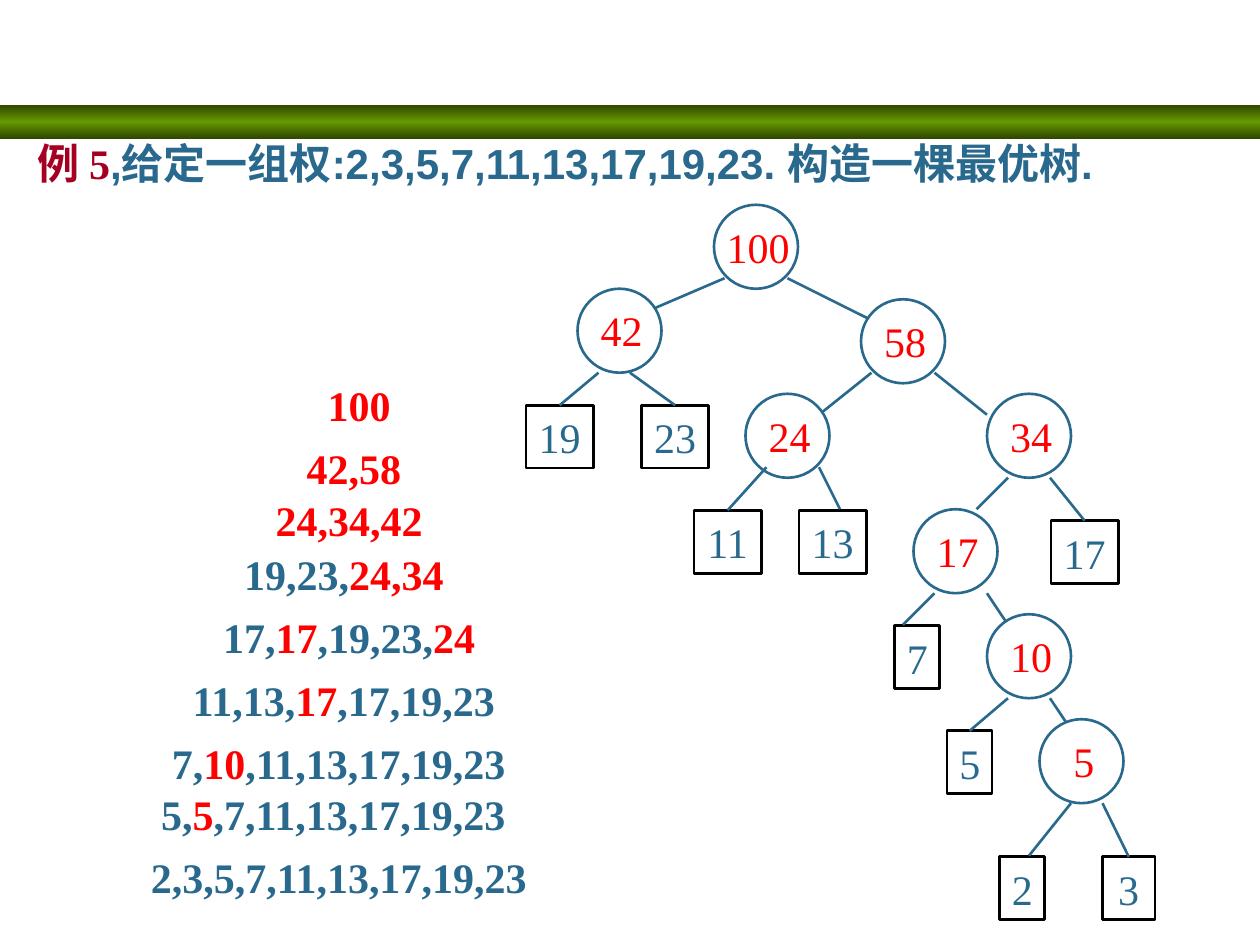
"""Build the slide that derives an optimal tree from a set of weights."""
import copy

import lxml.etree
import pptx
import pptx.dml.color
import pptx.enum.shapes
import pptx.enum.text
import pptx.oxml.ns
import pptx.util

COLORS = {"blue": "29698D", "red": "FF0000", "title": "A50021", "black": "000000",
          "white": "FFFFFF", "green": "669900", "dark": "2F4700"}
SERIF = "Times New Roman"
SHAPE = pptx.enum.shapes.MSO_SHAPE
ALIGN = pptx.enum.text.PP_ALIGN
rgb = {k: pptx.dml.color.RGBColor.from_string(v) for k, v in COLORS.items()}

prs = pptx.Presentation()
prs.slide_width = pptx.util.Inches(10)
prs.slide_height = pptx.util.Inches(7.5)
s = prs.slides.add_slide(prs.slide_layouts[6])
unit = prs.slide_width / 120


def grid(*cells):
    return [round(c * unit) for c in cells]


def write(sp, runs, bold=False, align=ALIGN.CENTER, wrap=False):
    tf = sp.text_frame
    tf.word_wrap = wrap
    tf.auto_size = pptx.enum.text.MSO_AUTO_SIZE.SHAPE_TO_FIT_TEXT
    tf.vertical_anchor = pptx.enum.text.MSO_ANCHOR.MIDDLE
    p = tf.paragraphs[0]
    p.alignment = align
    for text, color, font in runs:
        r = p.add_run()
        r.text = text
        r.font.size = pptx.util.Pt(24)
        r.font.name = font
        r.font.bold = bold
        r.font.color.rgb = rgb[color]


band = s.shapes.add_shape(SHAPE.RECTANGLE, *grid(0, 10, 120, 3.2))
band.shadow.inherit = False
band.line.fill.background()
band.fill.gradient()
band.fill.gradient_angle = 90
stops = band._element.spPr.find(".//" + pptx.oxml.ns.qn("a:gsLst"))
stops.insert(1, copy.deepcopy(stops[0]))
for stop, position, color in zip(band.fill.gradient_stops, (0, 0.5, 1), ("dark", "green", "dark")):
    stop.position = position
    stop.color.rgb = rgb[color]

leaves = {}
for text, x, y, w in [
    ("2", 95.2, 81.6, 4.3), ("3", 105, 81.6, 5),
    ("5", 90.2, 69.6, 4.3), ("7", 85.2, 59.6, 4.3),
    ("11", 66.1, 48.6, 6.4), ("13", 76.1, 48.6, 6.4),
    ("17", 100.1, 49.6, 6.4), ("19", 50.1, 38.6, 6.4),
    ("23", 61.1, 38.6, 6.4),
]:
    sp = s.shapes.add_shape(SHAPE.RECTANGLE, *grid(x, y, w, 6))
    sp.shadow.inherit = False
    sp.fill.background()
    sp.line.color.rgb = rgb["black"]
    sp.line.width = pptx.util.Pt(1.5)
    write(sp, [(text, "blue", SERIF)])
    leaves[text] = sp

nodes = [
    ("100", 68, 19.5, [(69, 26.5, 62, 29.5, None), (75, 26.5, 83, 30.5, None)]),
    ("42", 55, 27.5, [(57, 35.5, 53, 38.5, "19"), (60, 35.5, 64, 38.5, "23")]),
    ("58", 82, 28.5, [(83, 35.5, 78, 39.5, None), (89, 35.5, 94, 39.5, None)]),
    ("24", 71, 37.5, [(73, 44.5, 69, 48.5, "11"), (78, 44.5, 80, 48.5, None)]),
    ("34", 94, 37.5, [(96, 45.5, 93, 48.5, None), (100, 45.5, 103, 49.5, "17")]),
    ("17", 87, 48.5, [(89, 56.5, 86, 59.5, None), (94, 56.5, 96, 59.5, None)]),
    ("10", 94, 58.5, [(96, 66.5, 92, 69.5, "5"), (100, 66.5, 102, 69.5, None)]),
    ("5", 99, 68.5, [(102, 76.5, 98, 81.5, None), (105, 76.5, 107, 81.5, "3")]),
]
for text, x, y, edges in nodes:
    sp = s.shapes.add_shape(SHAPE.OVAL, *grid(x, y, 8, 8))
    sp.shadow.inherit = False
    sp.fill.solid()
    sp.fill.fore_color.rgb = rgb["white"]
    sp.line.color.rgb = rgb["blue"]
    sp.line.width = pptx.util.Pt(1.5)
    w = 2.3 + 2.03 * len(text)
    label = s.shapes.add_textbox(*grid(x + 4.2 - w / 2, y + 0.95, w, 6))
    write(label, [(text, "red", SERIF)])
    for x1, y1, x2, y2, leaf in edges:
        line = s.shapes.add_connector(
            pptx.enum.shapes.MSO_CONNECTOR.STRAIGHT, *grid(x1, y1, x2, y2))
        line.line.color.rgb = rgb["blue"]
        line.line.width = pptx.util.Pt(1.5)
        lxml.etree.SubElement(line._element.spPr, pptx.oxml.ns.qn("a:effectLst"))
        if leaf:
            line.end_connect(leaves[leaf], 0)

steps = [
    ("|100", 30, 35.5, 8.4), ("|42,58", 28, 41.5, 11.4),
    ("|24,34,42", 25, 46.5, 16.5), ("19,23,|24,34", 22, 51.6, 21.5),
    ("17,|17|,19,23,|24", 20, 57.6, 26.5), ("11,13,|17|,17,19,23", 17, 63.6, 31.5),
    ("7,|10|,11,13,17,19,23", 15, 69.6, 34.5), ("5,|5|,7,11,13,17,19,23", 14, 74.5, 35.5),
    ("2,3,5,7,11,13,17,19,23", 13, 80.5, 38.5),
]
for text, x, y, w in steps:
    runs = [(part, ("blue", "red")[i % 2], SERIF)
            for i, part in enumerate(text.split("|")) if part]
    write(s.shapes.add_textbox(*grid(x, y, w, 6)), runs, bold=True)

title = s.shapes.add_textbox(*grid(2.4, 10.1, 111.5, 10.8))
write(title, [("例 5", "title", SERIF),
              (",给定一组权:2,3,5,7,11,13,17,19,23. 构造一棵最优树.", "blue", "Arial")],
      bold=True, align=ALIGN.LEFT, wrap=True)

prs.save("out.pptx")
